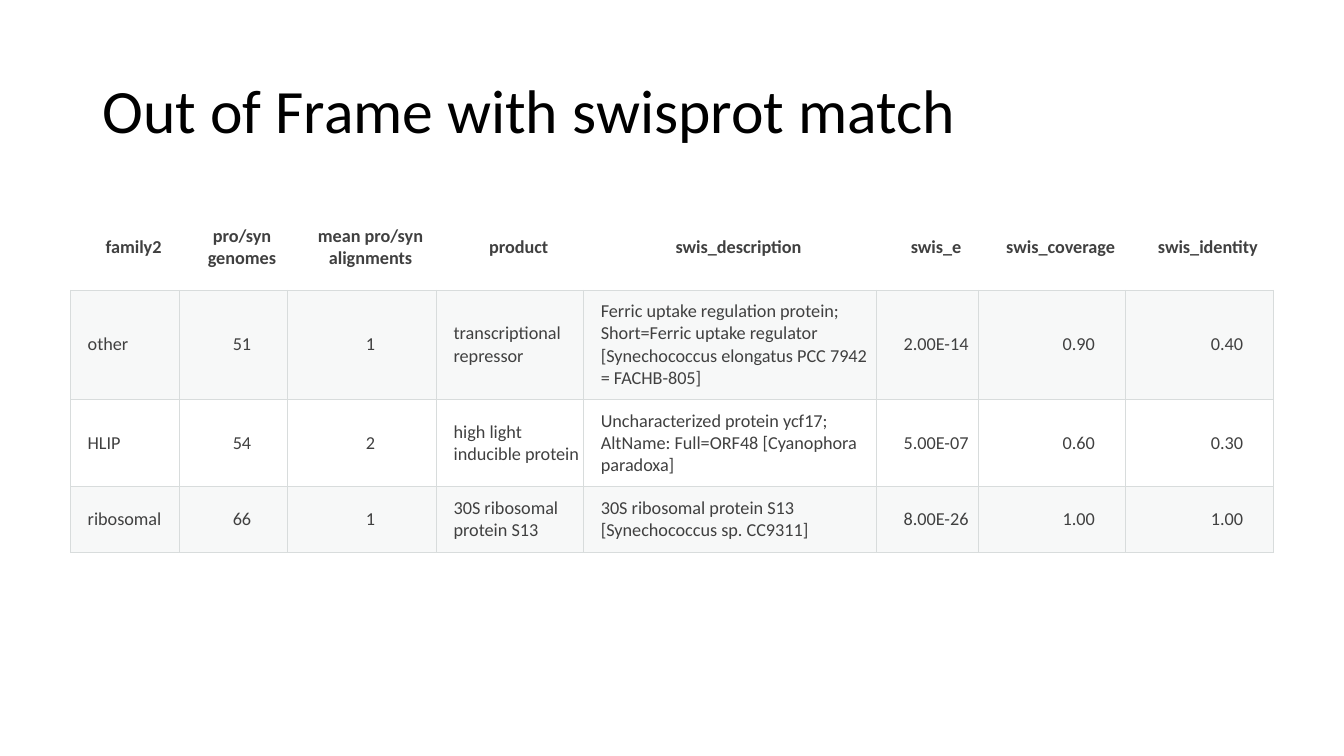
from lxml import etree
from pptx import Presentation
from pptx import util as u
from pptx.dml.color import RGBColor
from pptx.enum import text
from pptx.oxml.ns import qn

COLORS = {"title": "000000", "body": "404040", "band": "D8DEDC", "rule": "D8DCDC"}
NO_STYLE = "{2D5ABB26-0587-4C30-8999-92F81FD0307C}"
LEFT, CENTER, RIGHT = text.PP_ALIGN.LEFT, text.PP_ALIGN.CENTER, text.PP_ALIGN.RIGHT

# heading, width, alignment of the values
columns = [
    ("family2", 1.08, LEFT),
    ("pro/syn genomes", 1.07, CENTER),
    ("mean pro/syn alignments", 1.48, CENTER),
    ("product", 1.46, LEFT),
    ("swis_description", 2.9, LEFT),
    ("swis_e", 1.02, CENTER),
    ("swis_coverage", 1.45, RIGHT),
    ("swis_identity", 1.47, RIGHT),
]
proteins = [
    ("other", "51", "1", "transcriptional repressor",
     "Ferric uptake regulation protein; Short=Ferric uptake regulator "
     "[Synechococcus elongatus PCC 7942 = FACHB-805]", "2.00E-14", "0.90", "0.40"),
    ("HLIP", "54", "2", "high light inducible protein",
     "Uncharacterized protein ycf17; AltName: Full=ORF48 [Cyanophora paradoxa]",
     "5.00E-07", "0.60", "0.30"),
    ("ribosomal", "66", "1", "30S ribosomal protein S13",
     "30S ribosomal protein S13 [Synechococcus sp. CC9311]", "8.00E-26", "1.00", "1.00"),
]
row_heights = [0.86, 1.08, 0.87, 0.65]


def write(frame, words, size=13, color="body", bold=False, align=LEFT, spacing=1.0):
    """Put one formatted paragraph into a text frame."""
    frame.word_wrap = True
    paragraph = frame.paragraphs[0]
    paragraph.alignment, paragraph.line_spacing = align, spacing
    run = paragraph.add_run()
    run.text = words
    run.font.name, run.font.size, run.font.bold = "Calibri", u.Pt(size), bold
    run.font.color.rgb = RGBColor.from_string(COLORS[color])


def draw_borders(cell, sides):
    """Draw thin rules on the given sides of a cell, in the order L, R, T, B."""
    properties = cell._tc.get_or_add_tcPr()
    for side in sides:
        line = etree.SubElement(properties, qn("a:ln" + side), w=str(u.Pt(0.75)))
        fill = etree.SubElement(line, qn("a:solidFill"))
        etree.SubElement(fill, qn("a:srgbClr"), val=COLORS["rule"])


deck = Presentation()
deck.slide_width, deck.slide_height = u.Inches(13.33), u.Inches(7.5)
slide = deck.slides.add_slide(deck.slide_layouts[6])

title = slide.shapes.add_textbox(u.Inches(0.92), u.Inches(0.4), u.Inches(11.5), u.Inches(1.45))
title.text_frame.vertical_anchor = text.MSO_ANCHOR.MIDDLE
write(title.text_frame, "Out of Frame with swisprot match", size=44, color="title", spacing=0.9)

matches = slide.shapes.add_table(
    len(row_heights), len(columns), u.Inches(0.7), u.Inches(2.02),
    u.Inches(sum(width for _, width, _ in columns)), u.Inches(sum(row_heights))).table
matches.horz_banding = False
matches._tbl.tblPr.find(qn("a:tableStyleId")).text = NO_STYLE
for column, (_, width, _) in zip(matches.columns, columns):
    column.width = u.Inches(width)

headings = [heading for heading, _, _ in columns]
for row, values in enumerate([headings, *proteins]):
    matches.rows[row].height = u.Inches(row_heights[row])
    is_header = row == 0
    for col, value in enumerate(values):
        cell = matches.cell(row, col)
        align = CENTER if is_header else columns[col][2]
        cell.vertical_anchor = text.MSO_ANCHOR.MIDDLE
        cell.margin_left = u.Inches(0.17)
        cell.margin_right = u.Inches(0.3 if align == RIGHT else 0)
        cell.margin_top = cell.margin_bottom = u.Inches(0.09)
        write(cell.text_frame, value, bold=is_header, align=align)
        draw_borders(cell, "B" if is_header else "LRTB")
        if row % 2:
            cell.fill.solid()
            cell.fill.fore_color.rgb = RGBColor.from_string(COLORS["band"])
            band = cell._tc.tcPr.find(qn("a:solidFill")).find(qn("a:srgbClr"))
            etree.SubElement(band, qn("a:alpha"), val="20000")
        else:
            cell.fill.background()

deck.save("out.pptx")
